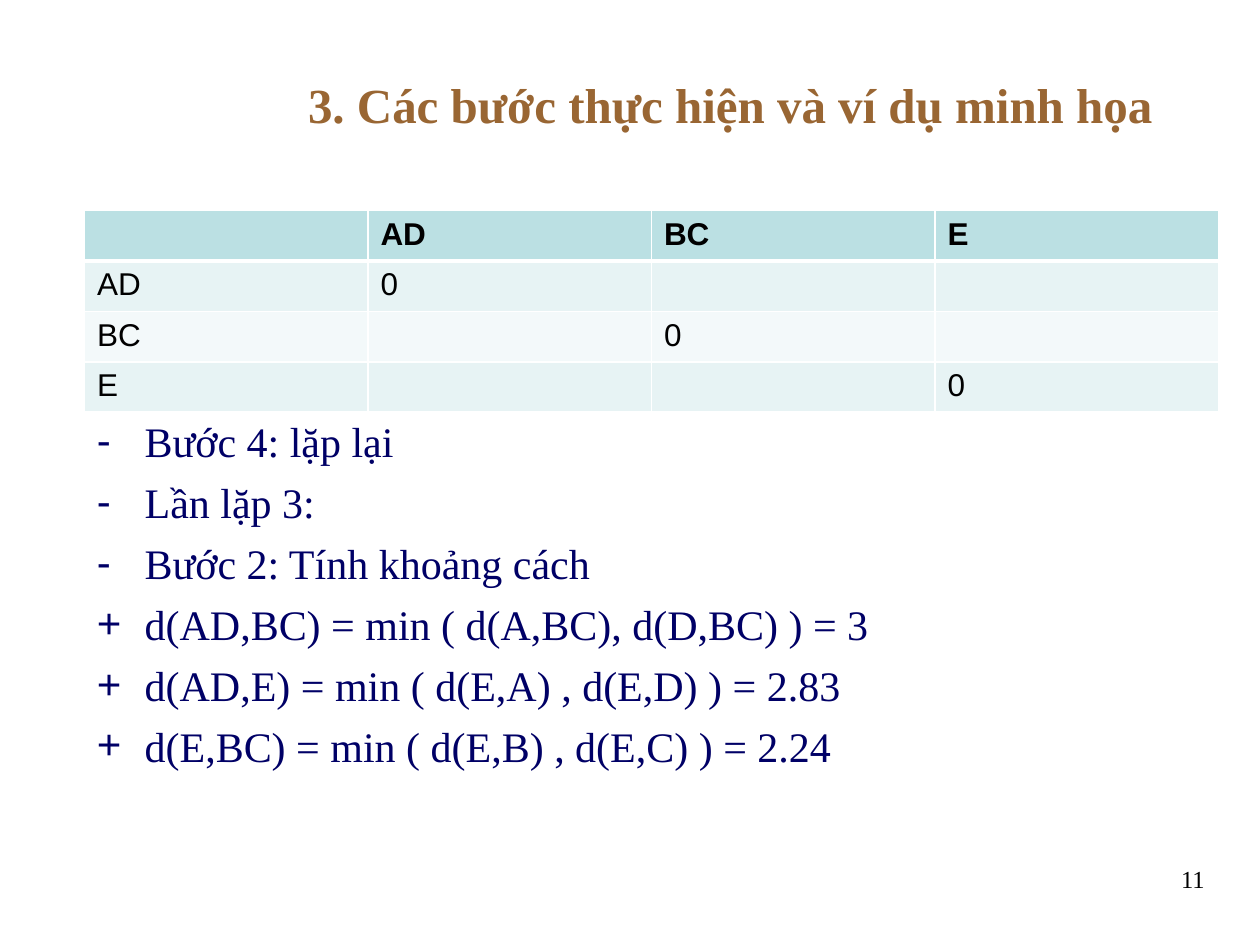
from lxml.etree import SubElement
from pptx import Presentation
from pptx.dml.color import RGBColor
from pptx.enum.text import MSO_ANCHOR as Anchor, PP_ALIGN as Align
from pptx.oxml.ns import qn
from pptx.util import Inches, Pt

TITLE = "3. Các bước thực hiện và ví dụ minh họa"
PAGE_NUMBER = "11"
DISTANCES = [
    ["", "AD", "BC", "E"],
    ["AD", "0", "", ""],
    ["BC", "", "0", ""],
    ["E", "", "", "0"],
]
STEPS = [
    ("-", "Bước 4: lặp lại"),
    ("-", "Lần lặp 3:"),
    ("-", "Bước 2: Tính khoảng cách"),
    ("+", "d(AD,BC) = min ( d(A,BC), d(D,BC) ) = 3"),
    ("+", "d(AD,E) = min ( d(E,A) , d(E,D) ) = 2.83"),
    ("+", "d(E,BC) = min ( d(E,B) , d(E,C) ) = 2.24"),
]
COLORS = {
    "title": "996633", "step": "000066", "black": "000000", "white": "FFFFFF",
    "header": "BBE0E3", "odd": "E7F3F4", "even": "F3F9FA",
}
SERIF, SANS = "Times New Roman", "Arial"
LEFT, WIDTH, INDENT = 0.67, 9, 0.38
TABLE_TOP, ROW_HEIGHT = 1.67, 0.38


def write(para, text, size, color, font=SERIF, bold=False, align=Align.LEFT):
    para.alignment = align
    span = para.add_run()
    span.text = text
    span.font.name = font
    span.font.size = Pt(size)
    span.font.bold = bold
    span.font.color.rgb = RGBColor.from_string(COLORS[color])


def add_box(page, left, top, width, height, anchor=Anchor.TOP):
    box = page.shapes.add_textbox(*map(Inches, (left, top, width, height)))
    frame = box.text_frame
    frame.word_wrap = True
    frame.vertical_anchor = anchor
    return frame


def set_bullet(para, mark):
    props = para._p.get_or_add_pPr()
    props.set("marL", str(Inches(INDENT)))
    props.set("indent", str(-Inches(INDENT)))
    SubElement(props, qn("a:buFont"), typeface=SANS)
    SubElement(props, qn("a:buChar"), char=mark)


def set_borders(cell, bottom):
    props = cell._tc.get_or_add_tcPr()
    for index, (side, points) in enumerate([("L", 1), ("R", 1), ("T", 1), ("B", bottom)]):
        line = props.makeelement(qn(f"a:ln{side}"), {"w": str(Pt(points))})
        fill = SubElement(line, qn("a:solidFill"))
        SubElement(fill, qn("a:srgbClr"), val=COLORS["white"])
        props.insert(index, line)


def add_distance_table(page):
    rows, columns = len(DISTANCES), len(DISTANCES[0])
    size = (LEFT, TABLE_TOP, WIDTH, ROW_HEIGHT * rows)
    table = page.shapes.add_table(rows, columns, *map(Inches, size)).table
    for row, values in enumerate(DISTANCES):
        band = "header" if row == 0 else "odd" if row % 2 else "even"
        for column, value in enumerate(values):
            cell = table.cell(row, column)
            cell.fill.solid()
            cell.fill.fore_color.rgb = RGBColor.from_string(COLORS[band])
            set_borders(cell, bottom=3 if row == 0 else 1)
            if value:
                write(cell.text_frame.paragraphs[0], value, 18, "black", font=SANS, bold=row == 0)


def add_steps(page):
    frame = add_box(page, LEFT, 3.25, WIDTH, 3.3)
    for index, (mark, text) in enumerate(STEPS):
        para = frame.add_paragraph() if index else frame.paragraphs[0]
        para.space_before = Pt(6)
        set_bullet(para, mark)
        write(para, text, 24, "step", align=Align.JUSTIFY)


def main():
    deck = Presentation()
    deck.slide_width, deck.slide_height = Inches(10), Inches(7.5)
    page = deck.slides.add_slide(deck.slide_layouts[6])
    title = add_box(page, 1.92, 0.31, 7.75, 1.03, anchor=Anchor.MIDDLE)
    write(title.paragraphs[0], TITLE, 28, "title", bold=True, align=Align.CENTER)
    add_steps(page)
    number = add_box(page, 7.33, 6.81, 2.33, 0.61)
    write(number.paragraphs[0], PAGE_NUMBER, 14, "black", align=Align.RIGHT)
    add_distance_table(page)
    deck.save("out.pptx")


if __name__ == "__main__":
    main()
